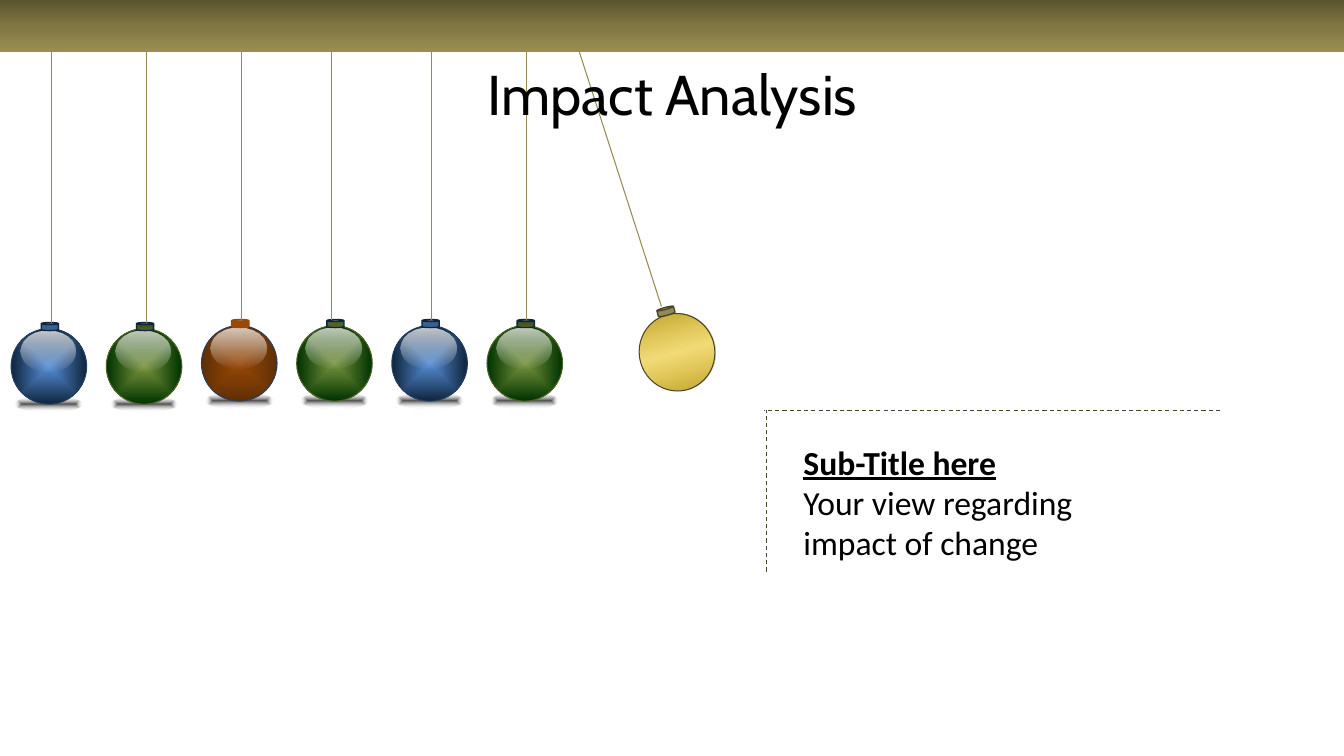
import lxml.etree
import pptx
import pptx.dml.color
import pptx.enum.dml
import pptx.enum.shapes
import pptx.enum.text
import pptx.oxml
import pptx.oxml.ns
import pptx.util

Inches = pptx.util.Inches
Pt = pptx.util.Pt
SHAPE = pptx.enum.shapes.MSO_SHAPE

COLORS = {
    "text": "000000", "rope": "948A54", "frame": "4A452A", "navy": "0F243E",
    "blue_edge": "254061", "blue_cap": "376092", "green": "4F6228", "orange": "984807",
}
BEAM = [(0, "5A542F", 100), (50, "817743", 100), (100, "998D4F", 100)]
SHADOW = [(0, "171717", 76), (100, "FFFFFF", 0)]
SHINE = [(0, "FFFCF9", 77), (100, "FFFFFF", 0)]
GOLD = [(0, "A68807", 90), (50, "E8BE0A", 55), (100, "A68807", 90)]
GREEN_CAP = [(0, "303D15", 100), (50, "44561E", 100), (100, "516624", 100)]
BLUE_BALL = [(0, "558ED5", 100), (100, "0F243E", 100)]
GREEN_BALL = [(0, "77933C", 100), (100, "003300", 100)]
ORANGE_BALL = [(0, "984807", 100), (100, "602E04", 100)]

BLUE = (BLUE_BALL, COLORS["blue_edge"], COLORS["blue_cap"], COLORS["navy"])
GREEN = (GREEN_BALL, COLORS["green"], GREEN_CAP, COLORS["navy"])
PLAIN_GREEN = (GREEN_BALL, COLORS["green"], COLORS["green"], COLORS["navy"])
ORANGE = (ORANGE_BALL, COLORS["blue_edge"], COLORS["orange"], COLORS["orange"])

PENDULUMS = [
    (BLUE, 3.26, 0.51), (GREEN, 3.26, 1.45), (ORANGE, 3.23, 2.4),
    (PLAIN_GREEN, 3.23, 3.29), (BLUE, 3.23, 4.28), (GREEN, 3.23, 5.22),
]
FIRST_LEFT = 0.11
SPACING = 4.72 / 5


def rgb(value):
    return pptx.dml.color.RGBColor.from_string(value)


def fill_gradient(shape, stops, radial):
    shape.fill.background()
    empty = shape.element.spPr.find(pptx.oxml.ns.qn("a:noFill"))
    marks = "".join(
        f'<a:gs pos="{place * 1000}"><a:srgbClr val="{color}">'
        f'<a:alpha val="{opacity * 1000}"/></a:srgbClr></a:gs>'
        for place, color, opacity in stops
    )
    direction = '<a:lin ang="5400000" scaled="0"/>'
    if radial:
        direction = ('<a:path path="shape"><a:fillToRect l="50000" t="50000" '
                     'r="50000" b="50000"/></a:path>')
    gradient = pptx.oxml.parse_xml(
        f'<a:gradFill {pptx.oxml.ns.nsdecls("a")} rotWithShape="1">'
        f'<a:gsLst>{marks}</a:gsLst>{direction}</a:gradFill>'
    )
    empty.getparent().replace(empty, gradient)


def add_part(shapes, kind, bounds, fill, edge=None, width=0.75, radial=False, turn=0):
    shape = shapes.add_shape(kind, *[Inches(length) for length in bounds])
    shape.shadow.inherit = False
    shape.rotation = turn
    if isinstance(fill, str):
        shape.fill.solid()
        shape.fill.fore_color.rgb = rgb(fill)
    else:
        fill_gradient(shape, fill, radial)
    if edge:
        shape.line.color.rgb = rgb(edge)
        shape.line.width = Pt(width)
    else:
        shape.line.fill.background()


def add_line(shapes, start, end, color, dashed=False):
    ends = [Inches(length) for length in (*start, *end)]
    line = shapes.add_connector(pptx.enum.shapes.MSO_CONNECTOR.STRAIGHT, *ends)
    line.line.color.rgb = rgb(color)
    line.line.width = Pt(0.75)
    if dashed:
        line.line.dash_style = pptx.enum.dml.MSO_LINE.DASH
    lxml.etree.SubElement(line.element.spPr, pptx.oxml.ns.qn("a:effectLst"))


def add_bauble(page, left, top, style):
    ball, ball_edge, cap, cap_edge = style
    shapes = page.shapes.add_group_shape().shapes
    add_part(shapes, SHAPE.OVAL, (left + 0.04, top + 0.67, 0.67, 0.15), SHADOW, radial=True)
    add_part(shapes, SHAPE.OVAL, (left, top, 0.75, 0.75), ball, ball_edge, radial=True)
    add_part(shapes, SHAPE.OVAL, (left + 0.09, top + 0.02, 0.55, 0.41), SHINE)
    add_part(shapes, SHAPE.CAN, (left + 0.3, top - 0.06, 0.17, 0.08), cap, cap_edge, 1)


def add_swinging_bauble(page):
    shapes = page.shapes.add_group_shape().shapes
    add_part(shapes, SHAPE.OVAL, (6.34, 3.11, 0.75, 0.77), GOLD, COLORS["frame"], turn=345)
    add_part(shapes, SHAPE.CAN, (6.52, 3.05, 0.17, 0.08), COLORS["rope"],
             COLORS["frame"], 1, turn=345)
    add_line(shapes, (5.58, 0), (6.56, 3.04), COLORS["rope"])


def add_span(para, text, font, size, strong=False):
    span = para.add_run()
    span.text = text
    span.font.name = font
    span.font.size = Pt(size)
    span.font.color.rgb = rgb(COLORS["text"])
    span.font.bold = strong
    span.font.underline = strong


def add_title(page):
    title = page.shapes.title
    title.left, title.top = Inches(0.67), Inches(0.3)
    title.width, title.height = Inches(12), Inches(1.25)
    title.text_frame.vertical_anchor = pptx.enum.text.MSO_ANCHOR.MIDDLE
    para = title.text_frame.paragraphs[0]
    para.alignment = pptx.enum.text.PP_ALIGN.CENTER
    add_span(para, "Impact Analysis", "Cabin", 40)
    title.element.getparent().append(title.element)


def add_comment(page):
    shapes = page.shapes.add_group_shape().shapes
    box = shapes.add_textbox(Inches(7.87), Inches(4.33), Inches(3.25), Inches(1.31))
    frame = box.text_frame
    frame.word_wrap = True
    add_span(frame.paragraphs[0], "Sub-Title here", "Calibri", 24, strong=True)
    add_span(frame.add_paragraph(), "Your view regarding impact of change", "Calibri", 24)
    add_line(shapes, (7.6, 5.67), (7.6, 4.07), COLORS["frame"], dashed=True)
    add_line(shapes, (12.1, 4.07), (7.58, 4.07), COLORS["frame"], dashed=True)


def main():
    deck = pptx.Presentation()
    deck.slide_width, deck.slide_height = Inches(13.33), Inches(7.5)
    page = deck.slides.add_slide(deck.slide_layouts[5])
    for index, (style, top, rope) in enumerate(PENDULUMS):
        add_bauble(page, FIRST_LEFT + index * SPACING, top, style)
        add_line(page.shapes, (rope, 0), (rope, top - 0.06), COLORS["rope"])
    add_swinging_bauble(page)
    add_title(page)
    add_comment(page)
    add_part(page.shapes, SHAPE.RECTANGLE, (0, 0, 13.33, 0.52), BEAM)
    deck.save("out.pptx")


if __name__ == "__main__":
    main()
